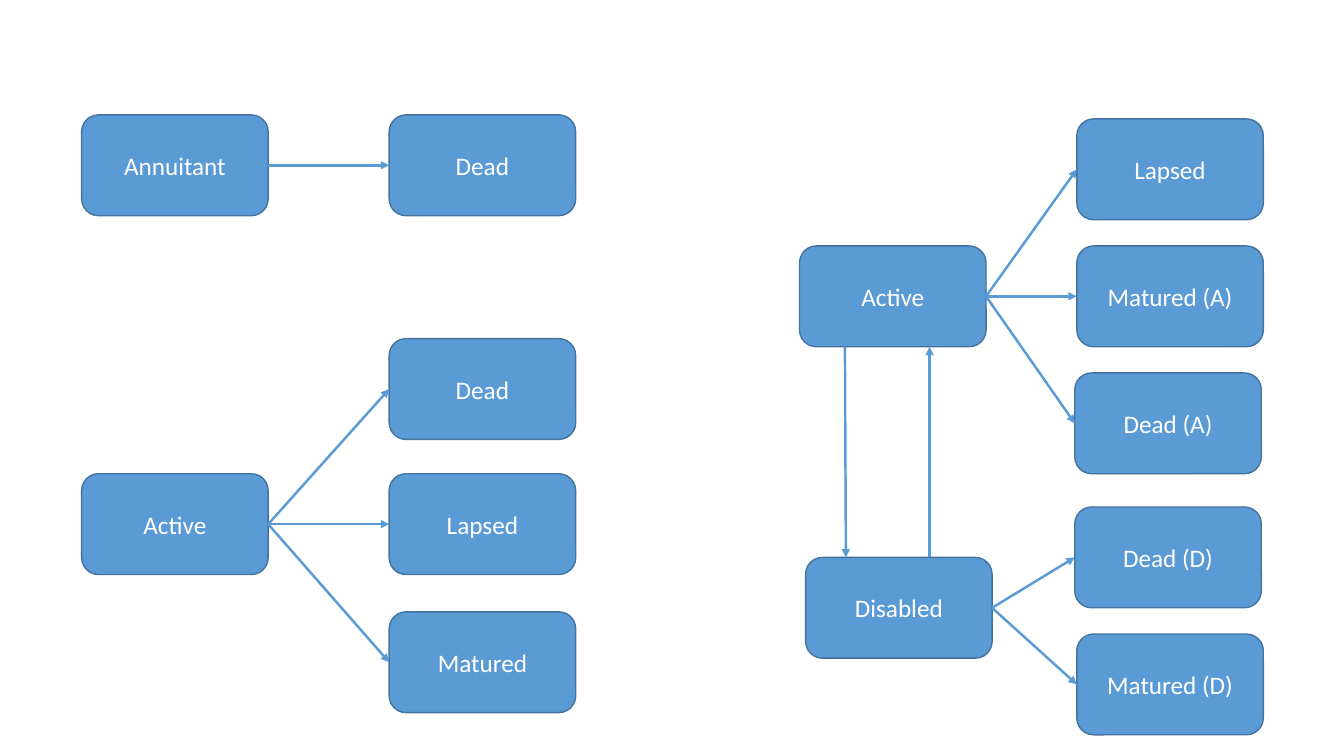
"""Draw the state transition diagrams of three insurance policy models."""
from typing import NamedTuple

import pptx
import pptx.dml.color
import pptx.enum.shapes
import pptx.enum.text
import pptx.oxml
import pptx.oxml.ns
import pptx.util

Inches = pptx.util.Inches
STATE_WIDTH, STATE_HEIGHT = 1.85, 1
BLUE, DARK_BLUE, WHITE = "5B9BD5", "43739E", "FFFFFF"
LEFT_SITE, RIGHT_SITE = 1, 3


class State(NamedTuple):
    label: str
    left: float
    top: float


class Arrow(NamedTuple):
    start_x: float
    start_y: float
    end_x: float
    end_y: float


STATES = {
    "annuitant": State("Annuitant", 0.81, 1.14),
    "annuitant dead": State("Dead", 3.86, 1.14),
    "policy active": State("Active", 0.81, 4.7),
    "policy dead": State("Dead", 3.86, 3.36),
    "policy lapsed": State("Lapsed", 3.86, 4.7),
    "policy matured": State("Matured", 3.86, 6.07),
    "active": State("Active", 7.93, 2.44),
    "disabled": State("Disabled", 7.99, 5.53),
    "lapsed": State("Lapsed", 10.68, 1.18),
    "matured (A)": State("Matured (A)", 10.68, 2.44),
    "dead (A)": State("Dead (A)", 10.66, 3.7),
    "dead (D)": State("Dead (D)", 10.66, 5.03),
    "matured (D)": State("Matured (D)", 10.68, 6.29),
}
EXITS = {
    "annuitant": ["annuitant dead"],
    "policy active": ["policy dead", "policy lapsed", "policy matured"],
    "active": ["lapsed", "matured (A)", "dead (A)"],
    "disabled": ["dead (D)", "matured (D)"],
}
DISABILITY_ARROWS = [Arrow(8.38, 3.44, 8.39, 5.53), Arrow(9.22, 5.53, 9.22, 3.44)]


def color(value: str) -> pptx.dml.color.RGBColor:
    return pptx.dml.color.RGBColor.from_string(value)


def write_text(shape, text: str, *, size: float = 18, font: str = "Calibri",
               font_color: str = WHITE) -> None:
    frame = shape.text_frame
    frame.word_wrap = True
    frame.vertical_anchor = pptx.enum.text.MSO_ANCHOR.MIDDLE
    paragraph = frame.paragraphs[0]
    paragraph.alignment = pptx.enum.text.PP_ALIGN.CENTER
    run = paragraph.add_run()
    run.text = text
    run.font.name = font
    run.font.size = pptx.util.Pt(size)
    run.font.color.rgb = color(font_color)


def draw_state(slide, state: State):
    shape = slide.shapes.add_shape(
        pptx.enum.shapes.MSO_SHAPE.ROUNDED_RECTANGLE,
        Inches(state.left), Inches(state.top), Inches(STATE_WIDTH), Inches(STATE_HEIGHT))
    shape.shadow.inherit = False
    shape.fill.solid()
    shape.fill.fore_color.rgb = color(BLUE)
    shape.line.color.rgb = color(DARK_BLUE)
    shape.line.width = pptx.util.Pt(1)
    write_text(shape, state.label)
    return shape


def draw_arrow(slide, arrow: Arrow):
    connector = slide.shapes.add_connector(
        pptx.enum.shapes.MSO_CONNECTOR.STRAIGHT, *(Inches(value) for value in arrow))
    connector.line.color.rgb = color(BLUE)
    connector.line.width = pptx.util.Pt(1.75)
    head = pptx.oxml.parse_xml(
        f'<a:tailEnd {pptx.oxml.ns.nsdecls("a")} type="triangle"/>')
    connector.line._get_or_add_ln().append(head)
    effects = pptx.oxml.parse_xml(f'<a:effectLst {pptx.oxml.ns.nsdecls("a")}/>')
    connector._element.spPr.append(effects)
    return connector


def main() -> None:
    presentation = pptx.Presentation()
    presentation.slide_width = Inches(13.33)
    presentation.slide_height = Inches(7.5)
    slide = presentation.slides.add_slide(presentation.slide_layouts[6])
    shapes = {name: draw_state(slide, state) for name, state in STATES.items()}
    for source, targets in EXITS.items():
        for target in targets:
            start, end = STATES[source], STATES[target]
            connector = draw_arrow(slide, Arrow(
                start.left + STATE_WIDTH, start.top + STATE_HEIGHT / 2,
                end.left, end.top + STATE_HEIGHT / 2))
            connector.begin_connect(shapes[source], RIGHT_SITE)
            connector.end_connect(shapes[target], LEFT_SITE)
    for arrow in DISABILITY_ARROWS:
        draw_arrow(slide, arrow)
    presentation.save("out.pptx")


if __name__ == "__main__":
    main()
